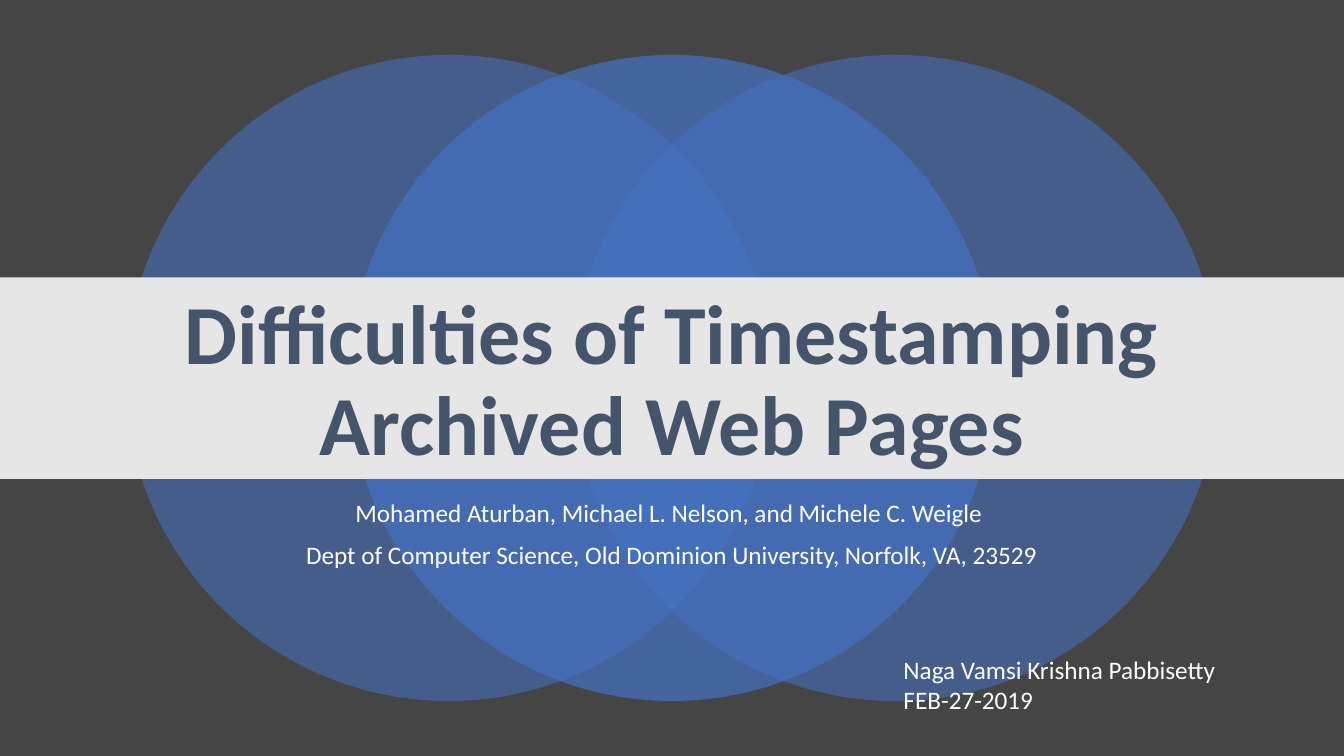
from dataclasses import dataclass

from lxml.etree import SubElement
from pptx import Presentation
from pptx.dml.color import RGBColor
from pptx.enum.shapes import MSO_SHAPE as Preset
from pptx.enum.text import MSO_ANCHOR as Anchor, PP_ALIGN as Align
from pptx.oxml.ns import qn
from pptx.shapes.autoshape import Shape
from pptx.slide import Slide
from pptx.util import Cm, Pt

CHARCOAL = RGBColor(0x45, 0x45, 0x45)
BLUE = RGBColor(0x44, 0x72, 0xC4)
PALE_GREY = RGBColor(0xE7, 0xE6, 0xE6)
SLATE = RGBColor(0x44, 0x54, 0x6A)
WHITE = RGBColor(0xFF, 0xFF, 0xFF)

PAGE_WIDTH, PAGE_HEIGHT = 33.87, 19.05
CIRCLE_SIZE, CIRCLE_STEP = 16.28, 5.63


@dataclass(frozen=True)
class Frame:
    """Position and size in centimetres."""
    left: float
    top: float
    width: float
    height: float

    def lengths(self) -> list[Cm]:
        return [Cm(value) for value in (self.left, self.top, self.width, self.height)]


@dataclass(frozen=True)
class Circle:
    offset: int  # steps from the middle of the page
    opacity: int  # percent


@dataclass(frozen=True)
class TextBlock:
    frame: Frame
    lines: tuple[str, ...]
    font: dict
    layout: dict
    gap: float = 0
    anchor: Anchor = Anchor.TOP


BODY_FONT = {"name": "Calibri", "size": Pt(18), "bold": False}
TITLE_FONT = {"name": "Calibri", "size": Pt(60), "bold": True}
CENTRED = {"alignment": Align.CENTER, "line_spacing": 0.9}
LEFT = {"alignment": Align.LEFT}

# Back to front
CIRCLES = (Circle(-1, 55), Circle(1, 55), Circle(0, 70))
BAND = Frame(0, 6.99, PAGE_WIDTH, 5.08)

AUTHORS = TextBlock(
    Frame(4.23, 12.5, 25.4, 2.11),
    ("Mohamed Aturban, Michael L. Nelson, and Michele C. Weigle ",
     "Dept of Computer Science, Old Dominion University, Norfolk, VA, 23529"),
    BODY_FONT, CENTRED, gap=10)
TITLE = TextBlock(
    Frame(4.23, 7.72, 25.4, 3.84),
    ("Difficulties of Timestamping\vArchived Web Pages",),
    TITLE_FONT, CENTRED, anchor=Anchor.MIDDLE)
PRESENTER = TextBlock(
    Frame(22.52, 16.36, 10.55, 1.83),
    ("Naga Vamsi Krishna Pabbisetty", "FEB-27-2019"),
    BODY_FONT, LEFT)


def add_filled_shape(page: Slide, preset: Preset, frame: Frame, color: RGBColor) -> Shape:
    shape = page.shapes.add_shape(preset, *frame.lengths())
    shape.shadow.inherit = False
    shape.fill.solid()
    shape.fill.fore_color.rgb = color
    shape.line.fill.background()
    return shape


def add_circle(page: Slide, circle: Circle) -> None:
    left = (PAGE_WIDTH - CIRCLE_SIZE) / 2 + circle.offset * CIRCLE_STEP
    top = (PAGE_HEIGHT - CIRCLE_SIZE) / 2
    frame = Frame(left, top, CIRCLE_SIZE, CIRCLE_SIZE)
    shape = add_filled_shape(page, Preset.OVAL, frame, BLUE)
    color = shape.fill._xPr.find(qn("a:solidFill"))[0]
    SubElement(color, qn("a:alpha"), val=str(circle.opacity * 1000))


def add_text(page: Slide, block: TextBlock, color: RGBColor) -> None:
    box = page.shapes.add_textbox(*block.frame.lengths())
    text_frame = box.text_frame
    text_frame.word_wrap = True
    text_frame.vertical_anchor = block.anchor
    for index, line in enumerate(block.lines):
        para = text_frame.add_paragraph() if index else text_frame.paragraphs[0]
        para.text = line
        para.space_before = Pt(block.gap if index else 0)
        for name, value in block.layout.items():
            setattr(para, name, value)
        for span in para.runs:
            span.font.color.rgb = color
            for name, value in block.font.items():
                setattr(span.font, name, value)


def main() -> None:
    deck = Presentation()
    deck.slide_width, deck.slide_height = Cm(PAGE_WIDTH), Cm(PAGE_HEIGHT)
    page = deck.slides.add_slide(deck.slide_layouts[6])
    page.background.fill.solid()
    page.background.fill.fore_color.rgb = CHARCOAL

    for circle in CIRCLES:
        add_circle(page, circle)
    add_text(page, AUTHORS, WHITE)
    add_filled_shape(page, Preset.RECTANGLE, BAND, PALE_GREY)
    add_text(page, TITLE, SLATE)
    add_text(page, PRESENTER, WHITE)
    deck.save("out.pptx")


if __name__ == "__main__":
    main()
